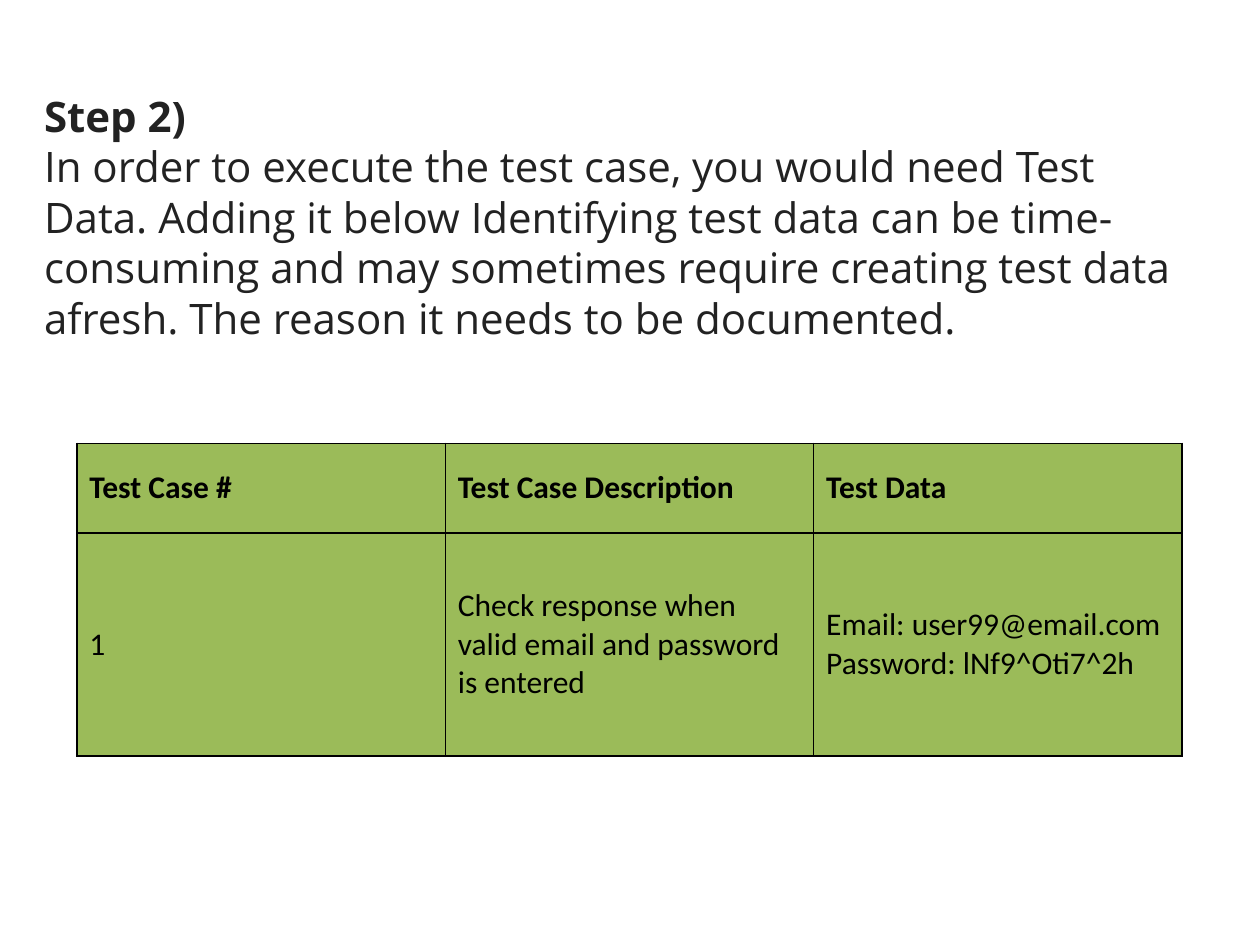
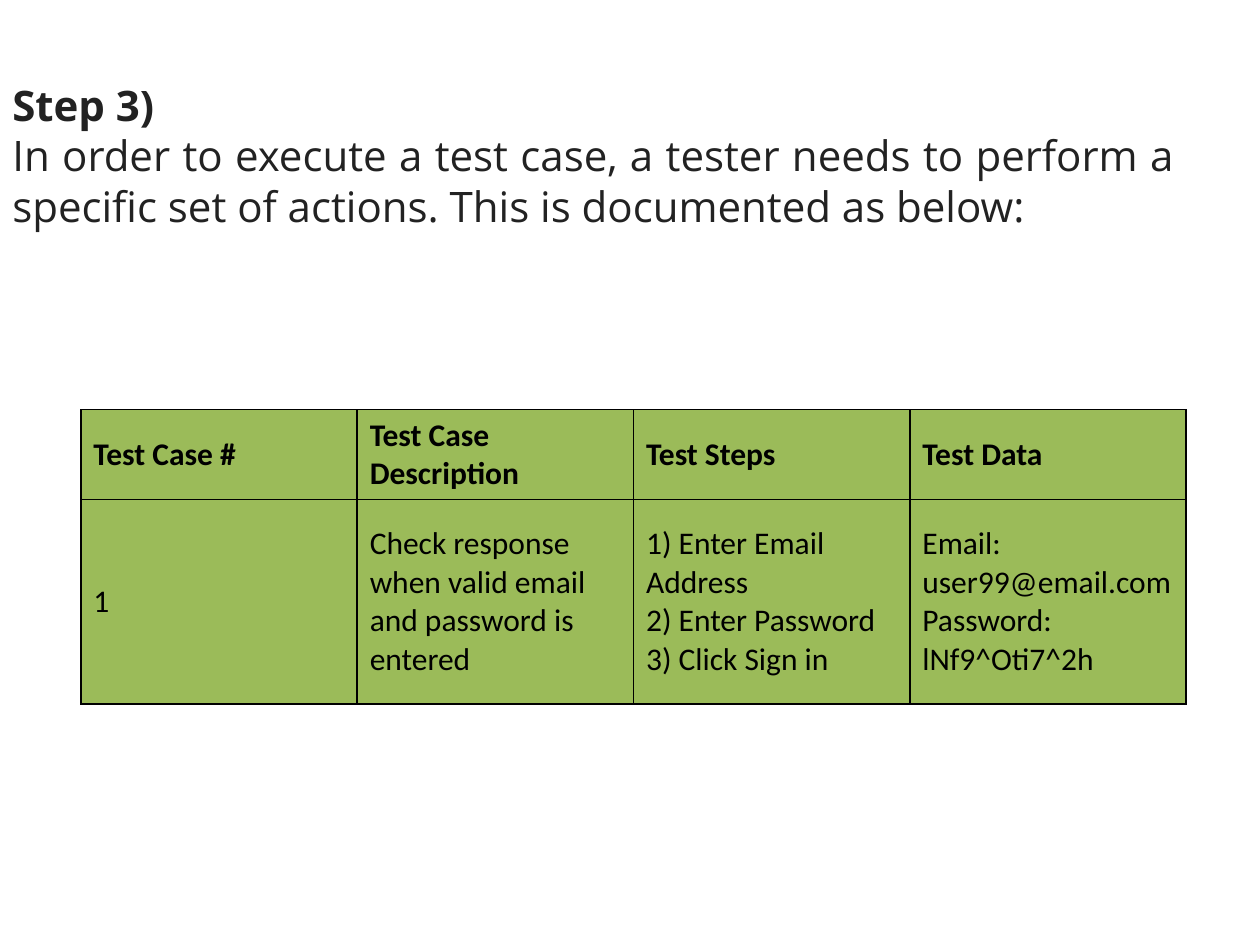
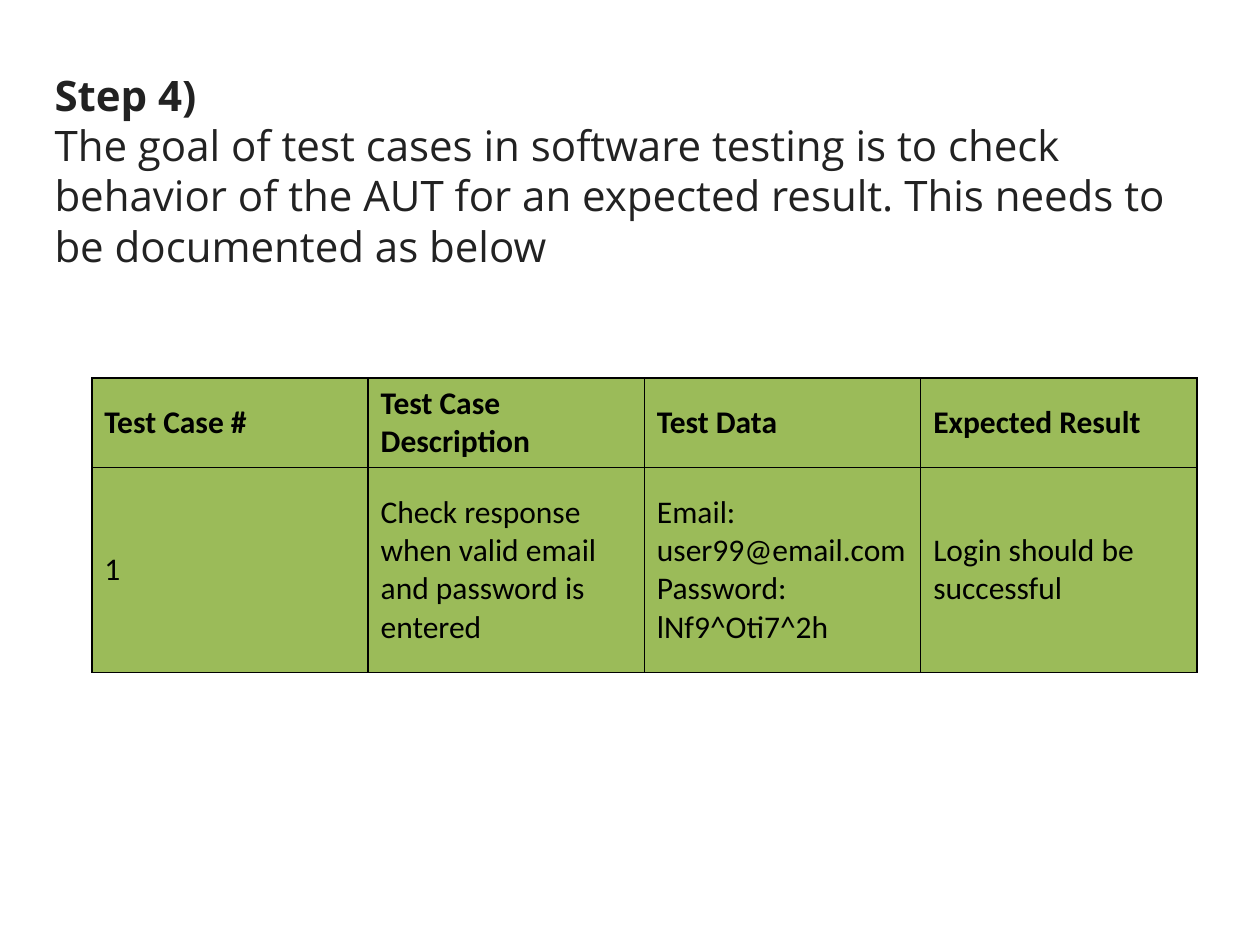
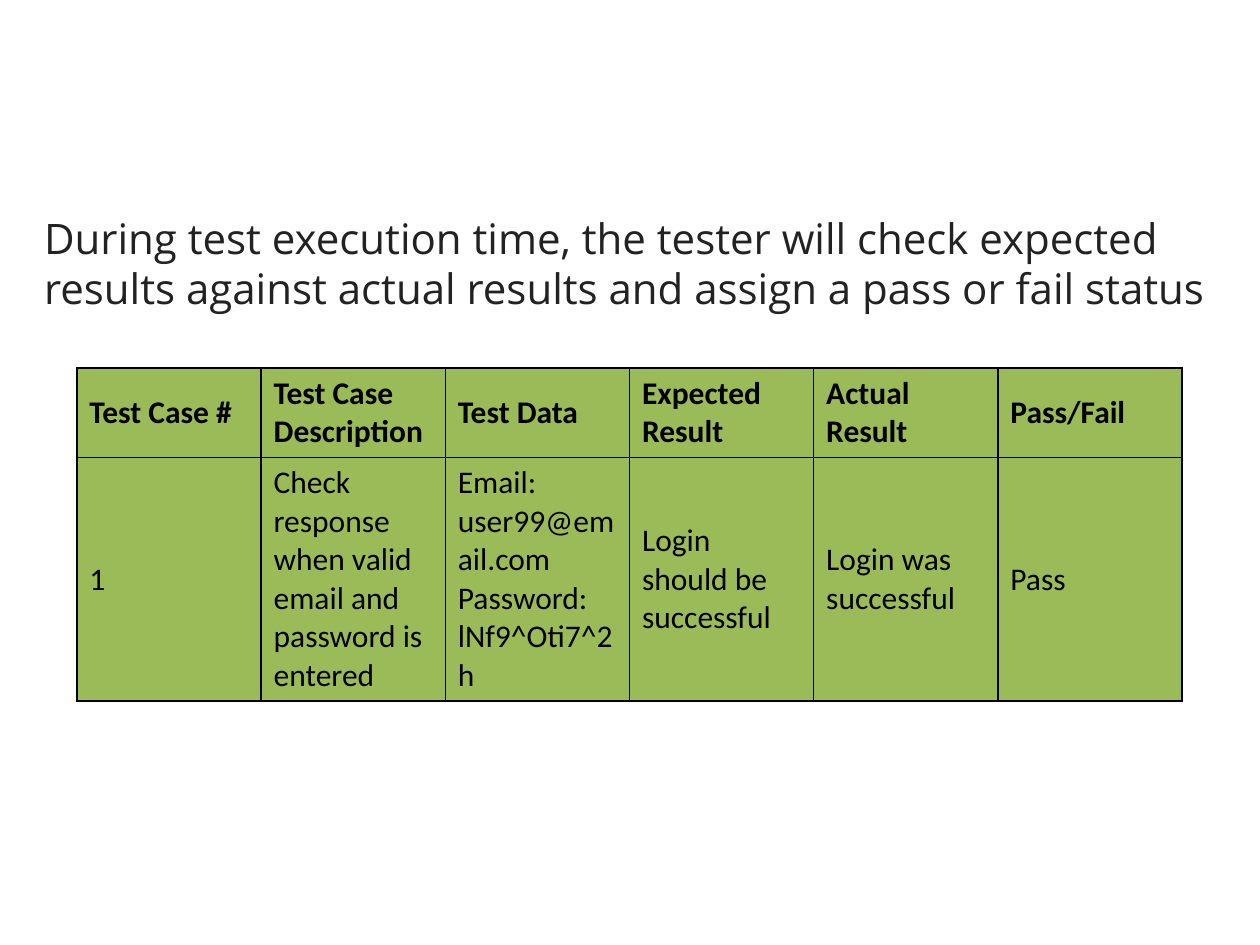
from lxml import etree
from pptx import Presentation
from pptx.dml.color import RGBColor
from pptx.enum.shapes import MSO_SHAPE
from pptx.enum.text import MSO_ANCHOR, PP_ALIGN
from pptx.oxml.ns import qn
from pptx.util import Cm, Pt

BLACK = "000000"
WHITE = "FFFFFF"
INK = "222222"
GREEN = "9BBB59"
TABLE_WIDTH = 22.28
HEADER_HEIGHT = 1.8

DESCRIPTION = "Check response when valid email and password is entered"
EMAIL = "Email: user99@email.com"
PASSWORD = "Password: lNf9^Oti7^2h"
EXPECTED = "Login should be successful"


def color(hex_string):
    """Turn a hex string into a colour."""
    return RGBColor.from_string(hex_string)


def write(frame, text, font="Calibri", size=18, ink=BLACK, bold=False,
          bold_first=False, align=PP_ALIGN.LEFT):
    """Write text into a frame: one paragraph a line, \\v for a line break."""
    frame.word_wrap = True
    for index, line in enumerate(text.split("\n")):
        paragraph = frame.add_paragraph() if index else frame.paragraphs[0]
        paragraph.text = line
        paragraph.alignment = align
        for run in paragraph.runs:
            run.font.name = font
            run.font.size = Pt(size)
            run.font.color.rgb = color(ink)
            run.font.bold = bold or (bold_first and index == 0)


def add_borders(cell, ink=BLACK, width=1):
    """Draw a line on the four sides of a table cell."""
    properties = cell._tc.get_or_add_tcPr()
    for index, side in enumerate(("a:lnL", "a:lnR", "a:lnT", "a:lnB")):
        line = etree.Element(qn(side), w=str(Pt(width)))
        fill = etree.SubElement(line, qn("a:solidFill"))
        etree.SubElement(fill, qn("a:srgbClr"), val=ink)
        properties.insert(index, line)


class Deck:
    """The shared style and the current slide."""

    def __init__(self):
        """Start a 4:3 presentation."""
        self.presentation = Presentation()
        self.presentation.slide_width = Cm(25.4)
        self.presentation.slide_height = Cm(19.05)
        self.slide = None

    def add_slide(self):
        """Start a blank white slide."""
        self.slide = self.presentation.slides.add_slide(
            self.presentation.slide_layouts[6])
        self.slide.background.fill.solid()
        self.slide.background.fill.fore_color.rgb = color(WHITE)

    def add_step(self, text, left, top, width, height, align=PP_ALIGN.LEFT):
        """Add a white panel with a bold step number above its explanation."""
        shape = self.slide.shapes.add_shape(
            MSO_SHAPE.RECTANGLE, Cm(left), Cm(top), Cm(width), Cm(height))
        shape.shadow.inherit = False
        shape.fill.solid()
        shape.fill.fore_color.rgb = color(WHITE)
        shape.line.fill.background()
        shape.text_frame.vertical_anchor = MSO_ANCHOR.TOP
        write(shape.text_frame, text, font="Open Sans", size=24, ink=INK,
              bold_first=True, align=align)

    def add_note(self, text, left, top, width, height):
        """Add a plain text box in the explanation style."""
        shape = self.slide.shapes.add_textbox(
            Cm(left), Cm(top), Cm(width), Cm(height))
        shape.text_frame.vertical_anchor = MSO_ANCHOR.MIDDLE
        write(shape.text_frame, text, font="Open Sans", size=24, ink=INK)

    def add_test_table(self, columns, left, top, row_height):
        """Add a test case table from a mapping of header to value."""
        rows = [list(columns), list(columns.values())]
        heights = [HEADER_HEIGHT, row_height]
        table = self.slide.shapes.add_table(
            len(rows), len(columns), Cm(left), Cm(top),
            Cm(TABLE_WIDTH), Cm(sum(heights))).table
        for column in table.columns:
            column.width = Cm(TABLE_WIDTH / len(columns))
        for row_index, texts in enumerate(rows):
            table.rows[row_index].height = Cm(heights[row_index])
            for column_index, text in enumerate(texts):
                cell = table.cell(row_index, column_index)
                cell.vertical_anchor = MSO_ANCHOR.MIDDLE
                cell.fill.solid()
                cell.fill.fore_color.rgb = color(GREEN)
                add_borders(cell)
                write(cell.text_frame, text, bold=row_index == 0)


def main():
    """Build the four slides and save them."""
    deck = Deck()
    case = {"Test Case #": "1", "Test Case Description": DESCRIPTION}

    deck.add_slide()
    deck.add_test_table({**case, "Test Data": f"{EMAIL} {PASSWORD}"},
                        left=1.55, top=8.94, row_height=4.5)
    deck.add_step(
        "Step 2)\nIn order to execute the test case, you would need Test Data. "
        "Adding it below Identifying test data can be time-consuming and may "
        "sometimes require creating test data afresh. The reason it needs to "
        "be documented.", left=0.64, top=1.7, width=23.7, height=5.38)

    deck.add_slide()
    deck.add_test_table(
        {**case,
         "Test Steps": "1) Enter Email Address\n2) Enter Password\n"
                       "3) Click Sign in",
         "Test Data": f"{EMAIL}\n{PASSWORD}"},
        left=1.63, top=8.26, row_height=4.13)
    deck.add_step(
        "Step 3)\nIn order to execute a test case, a tester needs to perform a "
        "specific set of actions. This is documented as below:",
        left=0, top=1.48, width=23.92, height=4.88, align=PP_ALIGN.JUSTIFY)

    deck.add_slide()
    deck.add_test_table(
        {**case, "Test Data": f"{EMAIL}\v{PASSWORD}",
         "Expected Result": EXPECTED},
        left=1.85, top=7.62, row_height=4.13)
    deck.add_step(
        "Step 4)\nThe goal of test cases in software testing is to check "
        "behavior of the AUT for an expected result. This needs to be "
        "documented as below", left=0.85, top=1.27, width=23.28, height=5.13)

    deck.add_slide()
    deck.add_test_table(
        {**case, "Test Data": f"{EMAIL} {PASSWORD}",
         "Expected Result": EXPECTED,
         "Actual Result": "Login was successful", "Pass/Fail": "Pass"},
        left=1.55, top=7.42, row_height=4.9)
    deck.add_note(
        "During test execution time, the tester will check expected results "
        "against actual results and assign a pass or fail status",
        left=0.64, top=4.14, width=24.76, height=2.31)

    deck.presentation.save("out.pptx")


main()
